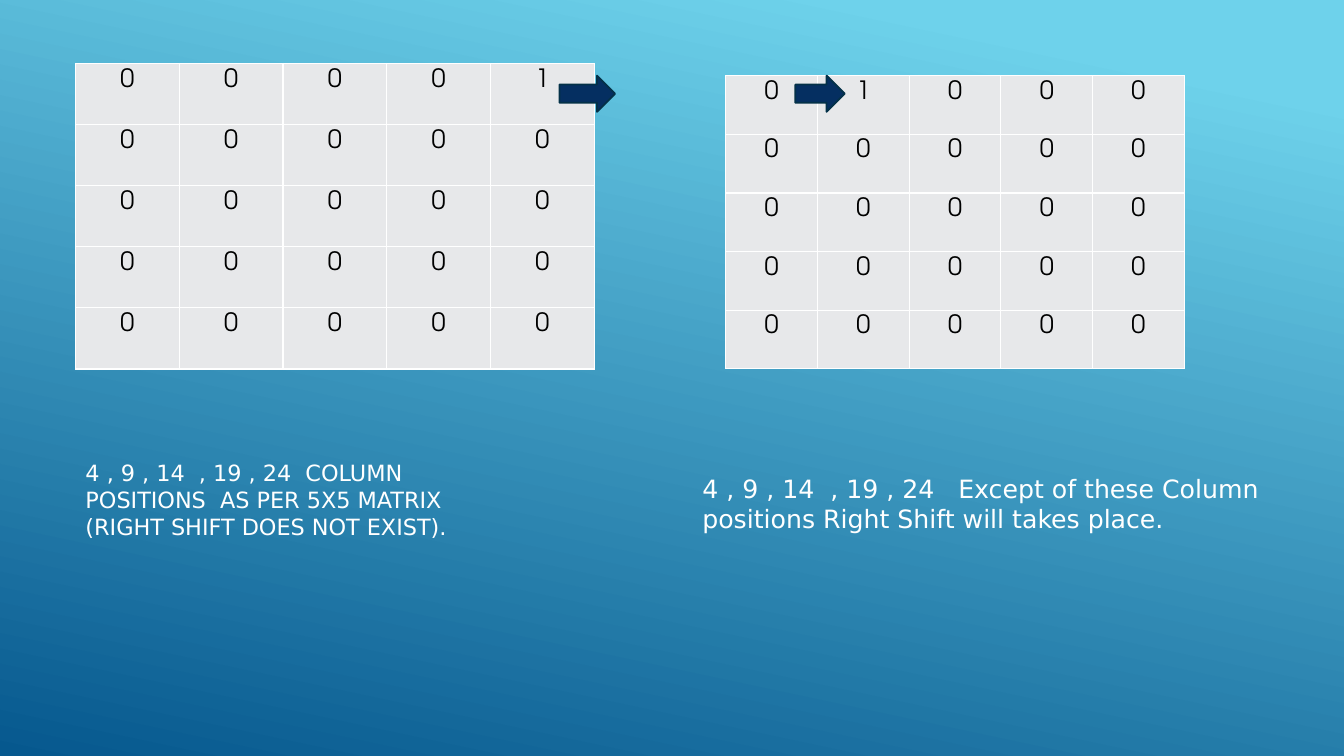
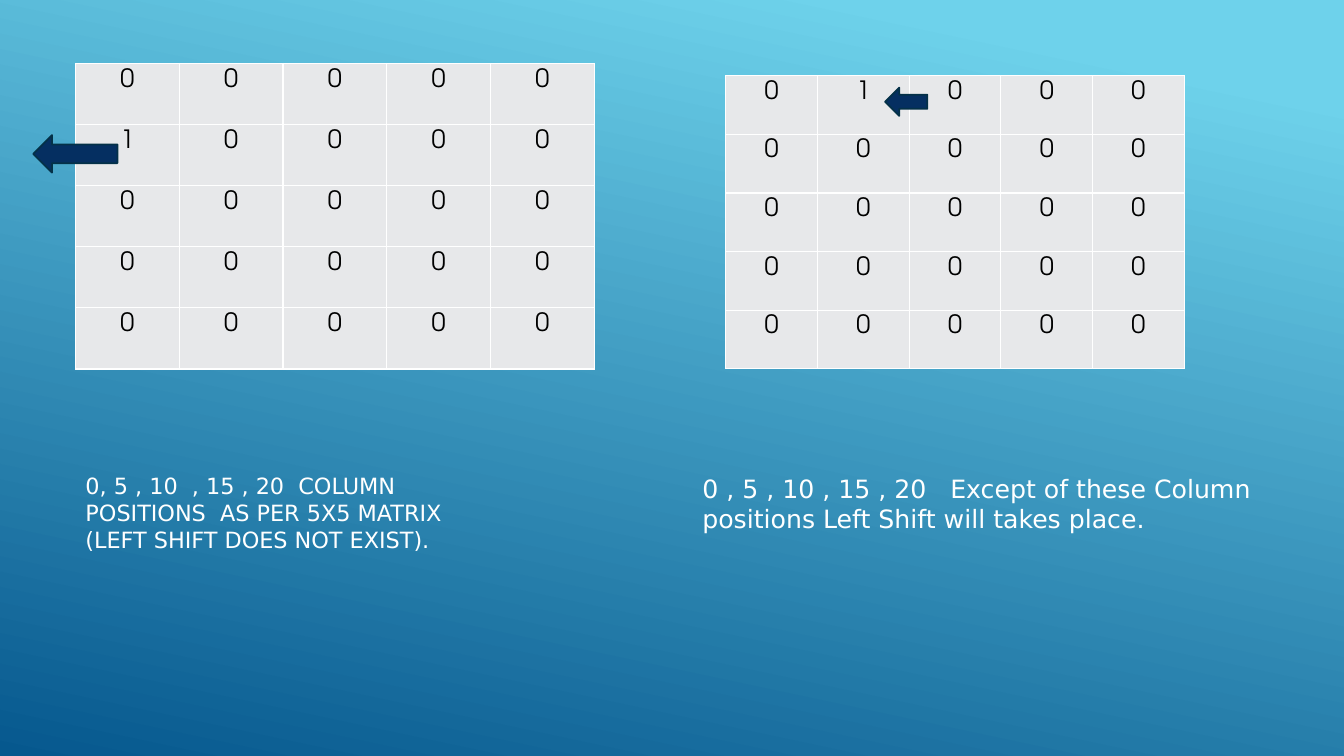
"""Build two slides on right and left shifts in a 5x5 matrix."""
import pptx
import pptx.dml.color
import pptx.enum.shapes
import pptx.enum.text
import pptx.oxml
import pptx.oxml.ns
import pptx.util

Pt = pptx.util.Pt
Shape = pptx.enum.shapes.MSO_SHAPE

COLORS = {"sky": "6ED2EB", "sea": "06588E", "cell": "E7E8EA", "grid": "FFFFFF",
          "digit": "000000", "caption": "FFFFFF", "arrow": "052F61", "outline": "043148"}
SIZE = 5
MATRICES = {"blocked": (54, 45.4, 74.1, 43.65), "allowed": (518.4, 54, 65.52, 41.9)}
CAPTIONS = {"blocked": {"place": (54, 298.8, 285.8, 172.8), "size": 16},
            "allowed": {"place": (494.6, 334.5, 480.2, 51.1), "size": 18}}
DIGIT_FORMAT = {"name": "TeX Gyre Adventor", "size": Pt(18)}
CELL_MARGINS = {"margin_top": Pt(3.6), "margin_bottom": Pt(3.6)}

SLIDES = [
    {"ones": {"blocked": (0, 4), "allowed": (0, 1)},
     "captions": {
         "blocked": ("4 , 9 , 14  , 19 , 24  COLUMN POSITIONS  AS PER 5X5 MATRIX "
                     "(RIGHT SHIFT DOES NOT EXIST).", 29.3),
         "allowed": ("4 , 9 , 14  , 19 , 24   Except of these Column positions "
                     "Right Shift will takes place.", 3.6)},
     "arrow": Shape.RIGHT_ARROW,
     "places": [(399.6, 54, 39.8, 25.9), (568.1, 54, 35.3, 25.9)]},
    {"ones": {"blocked": (1, 0), "allowed": (0, 1)},
     "captions": {
         "blocked": ("0, 5 , 10  , 15 , 20  COLUMN POSITIONS  AS PER 5X5 MATRIX "
                     "(LEFT SHIFT DOES NOT EXIST).", 38.3),
         "allowed": ("0 , 5 , 10 , 15 , 20   Except of these Column positions "
                     "Left Shift will takes place.", 3.6)},
     "arrow": Shape.LEFT_ARROW,
     "places": [(632.2, 62.6, 30.2, 20.2), (23.8, 96.5, 60.1, 26.8)]},
]


def rgb(name):
    """Return a named colour."""
    return pptx.dml.color.RGBColor.from_string(COLORS[name])


def points(values):
    """Turn numbers into point lengths."""
    return [Pt(value) for value in values]


def apply(target, formats):
    """Set each attribute named in the formats."""
    for name, value in formats.items():
        setattr(target, name, value)


def paint_background(master):
    """Give every slide the shared gradient."""
    fill = master.background.fill
    fill.gradient()
    fill.gradient_angle = 360 - 102
    for stop, position, name in zip(fill.gradient_stops, (0.1, 1), ("sky", "sea")):
        stop.position = position
        stop.color.rgb = rgb(name)


def write(frame, text, color, formats):
    """Write one formatted paragraph and return it."""
    para = frame.paragraphs[0]
    span = para.add_run()
    span.text = text
    apply(span.font, formats)
    span.font.color.rgb = rgb(color)
    return para


def add_border(cell):
    """Draw thin lines on all sides of a cell."""
    properties = cell._tc.get_or_add_tcPr()
    for side in ("lnL", "lnR", "lnT", "lnB"):
        properties.append(pptx.oxml.parse_xml(
            f'<a:{side} {pptx.oxml.ns.nsdecls("a")} w="{Pt(1)}"><a:solidFill>'
            f'<a:srgbClr val="{COLORS["grid"]}"/></a:solidFill></a:{side}>'))


def add_matrix(page, layout, one):
    """Add a matrix of zeros holding a single one."""
    left, top, width, height = layout
    frame = page.shapes.add_table(
        SIZE, SIZE, *points((left, top, width * SIZE, height * SIZE)))
    table = frame.table
    apply(table, {"first_row": False, "horz_banding": False})
    for column in table.columns:
        column.width = Pt(width)
    for row_number, row in enumerate(table.rows):
        row.height = Pt(height)
        for column_number, cell in enumerate(row.cells):
            apply(cell, CELL_MARGINS)
            add_border(cell)
            cell.fill.solid()
            cell.fill.fore_color.rgb = rgb("cell")
            digit = "1" if (row_number, column_number) == one else "0"
            para = write(cell.text_frame, digit, "digit", DIGIT_FORMAT)
            para.alignment = pptx.enum.text.PP_ALIGN.CENTER


def add_caption(page, style, text, inset):
    """Add a wrapped caption below a matrix."""
    box = page.shapes.add_textbox(*points(style["place"]))
    apply(box.text_frame, {"word_wrap": True, "margin_top": Pt(inset)})
    write(box.text_frame, text, "caption",
          {"name": "DejaVu Sans", "size": Pt(style["size"])})


def add_arrow(page, kind, place):
    """Add a block arrow showing the shift."""
    arrow = page.shapes.add_shape(kind, *points(place))
    arrow.shadow.inherit = False
    arrow.fill.solid()
    arrow.fill.fore_color.rgb = rgb("arrow")
    arrow.line.color.rgb = rgb("outline")
    arrow.line.width = Pt(1.25)


def main():
    """Build and save the deck."""
    deck = pptx.Presentation()
    apply(deck, {"slide_width": Pt(960), "slide_height": Pt(540)})
    paint_background(deck.slide_master)
    for content in SLIDES:
        page = deck.slides.add_slide(deck.slide_layouts[6])
        for name, layout in MATRICES.items():
            add_matrix(page, layout, content["ones"][name])
            add_caption(page, CAPTIONS[name], *content["captions"][name])
        for place in content["places"]:
            add_arrow(page, content["arrow"], place)
    deck.save("out.pptx")


if __name__ == "__main__":
    main()
